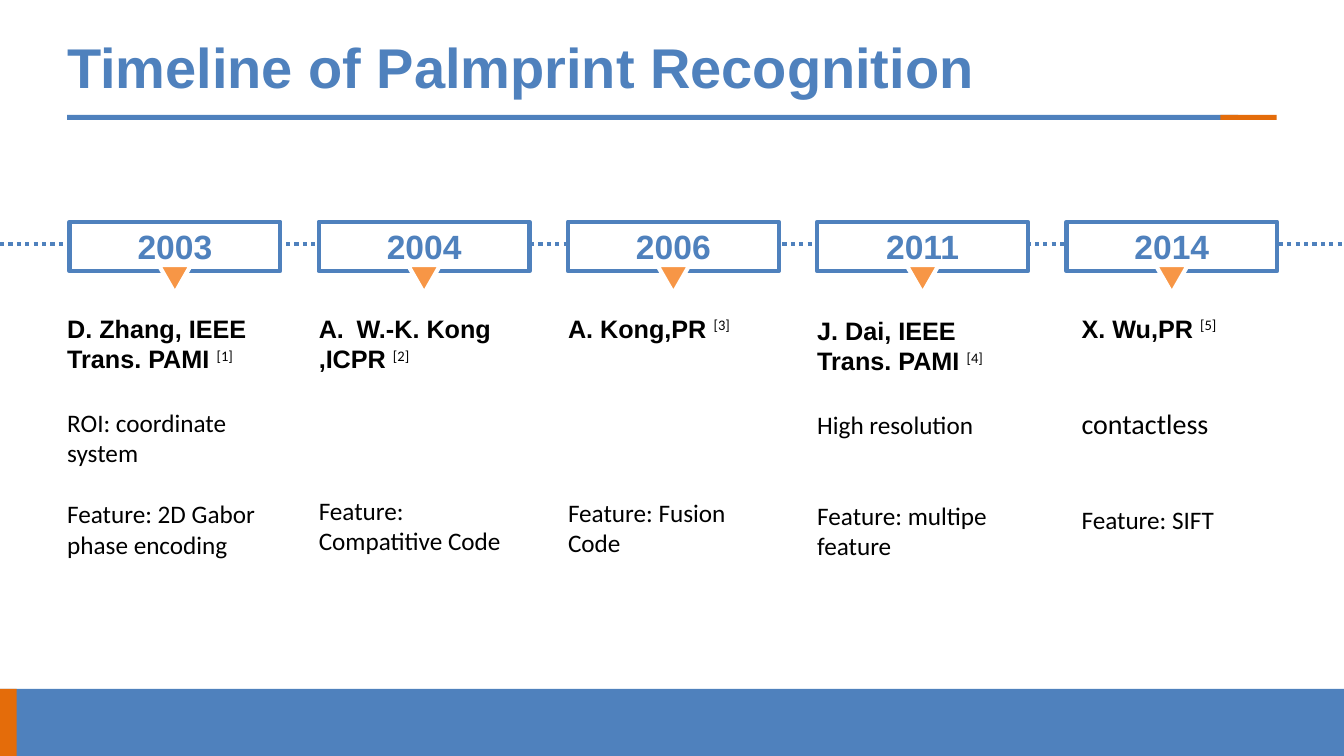
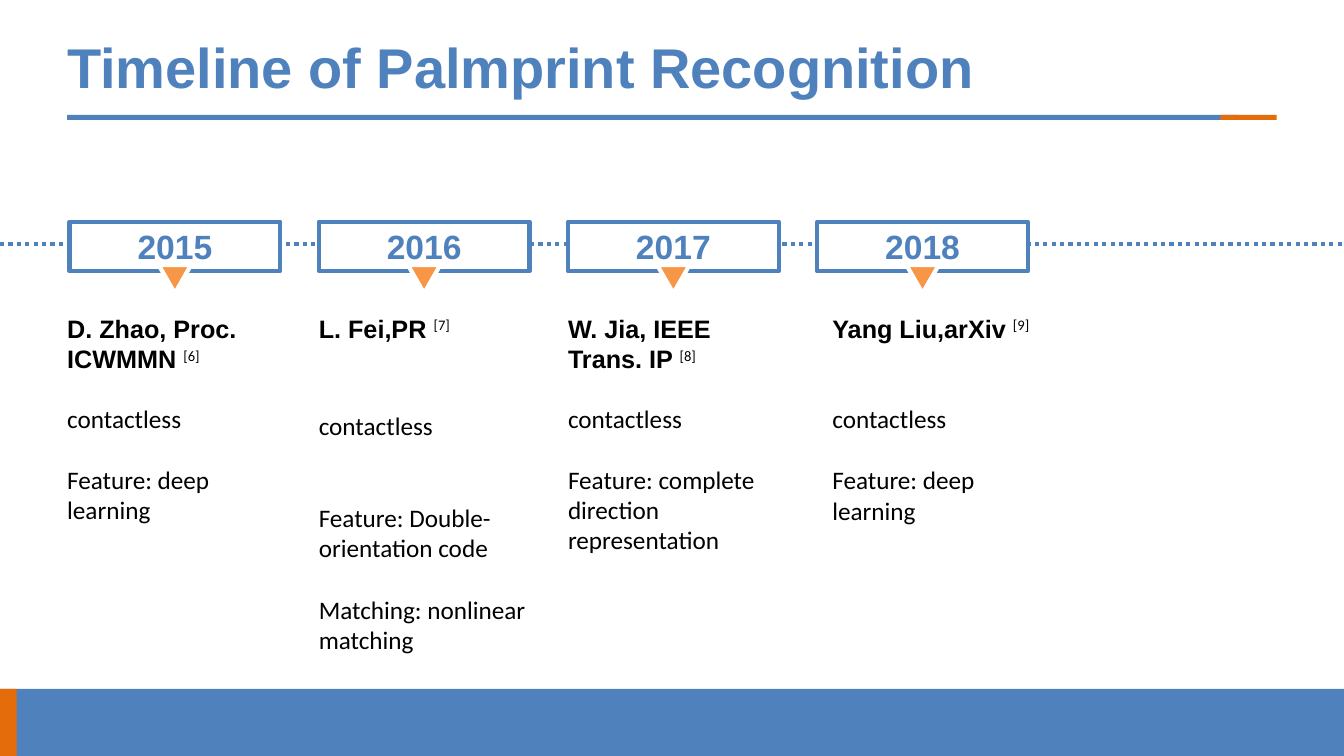
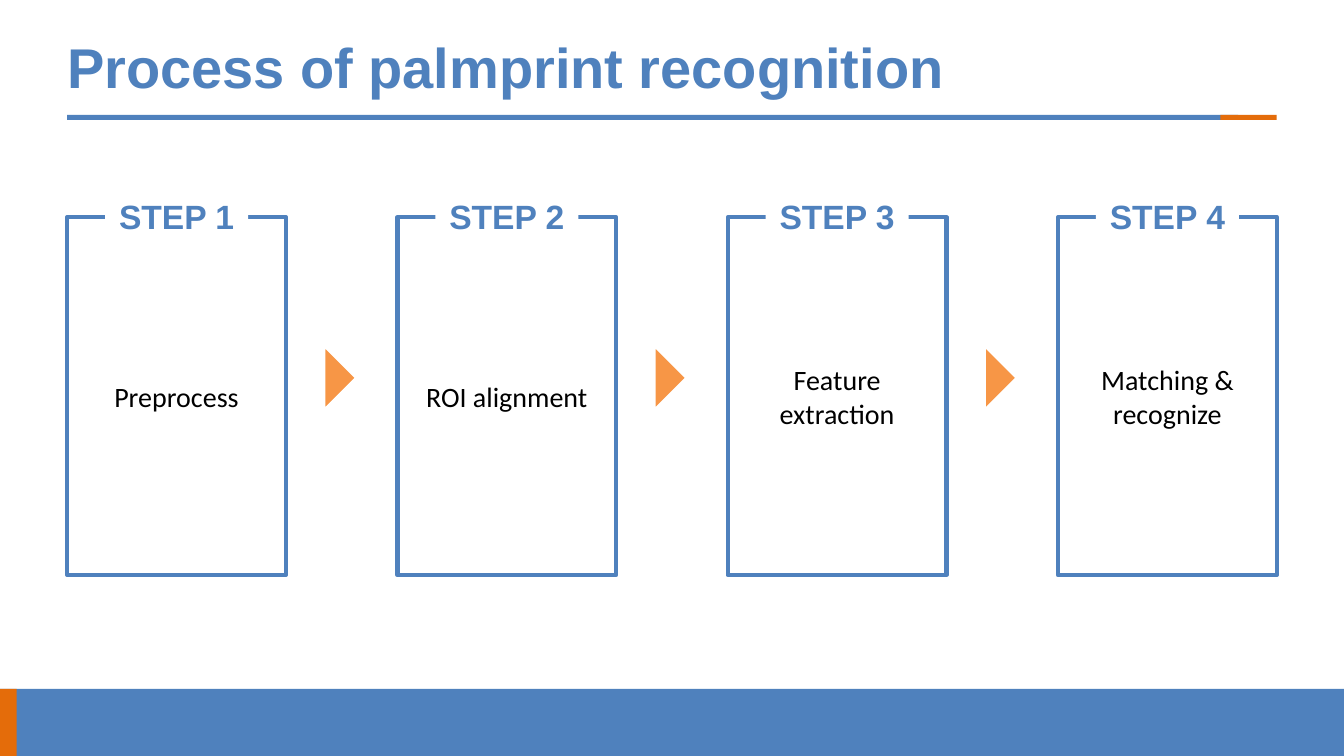
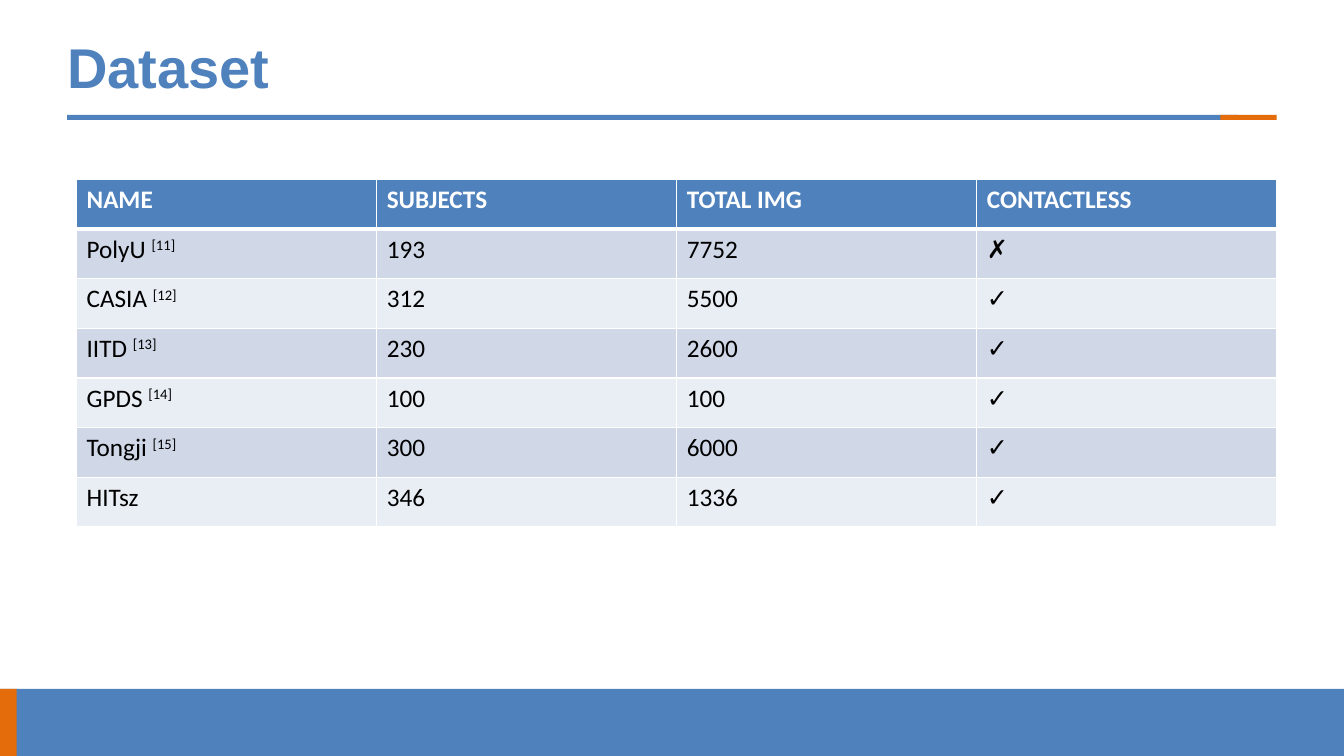
from dataclasses import dataclass

from lxml.etree import SubElement
from pptx import Presentation
from pptx.dml.color import RGBColor
from pptx.enum.dml import MSO_LINE
from pptx.enum.shapes import MSO_CONNECTOR, MSO_SHAPE
from pptx.enum.text import MSO_ANCHOR, PP_ALIGN
from pptx.oxml.ns import qn
from pptx.util import Emu, Inches, Pt

COLS, ROWS = 160, 90
UNIT = Inches(1) // 12


@dataclass(frozen=True)
class Style:
    """Look of one text run."""
    font: str
    size: int
    color: str
    bold: bool = False
    lift: int = 0


class Theme:
    """Colours and type shared by all slides."""
    blue, dark, orange = "4F81BD", "E46C0A", "F79646"
    white, black = "FFFFFF", "000000"
    bands = ("D0D8E8", "E9EDF4")
    stroke, thin = 3, 1
    title = Style("Arial", 40, blue, True)
    label = Style("Arial", 24, blue, True)
    author = Style("Arial", 18, black, True)
    note = Style("Calibri", 18, black)
    large = Style("Calibri", 20, black)
    cite = Style("Calibri", 18, black, lift=30)
    head = Style("Calibri", 18, white, True)


@dataclass(frozen=True)
class Box:
    """Area measured in grid columns and rows."""
    x: float
    y: float
    w: float
    h: float

    def inner(self, x, y, w, h):
        """Return a box placed from this box's corner."""
        return Box(self.x + x, self.y + y, w, h)

    def emu(self):
        """Return left, top, width and height as lengths."""
        return [Emu(round(n * UNIT)) for n in (self.x, self.y, self.w, self.h)]


@dataclass(frozen=True)
class Event:
    """One year on the timeline; notes hold gap, text and style."""
    year: str
    author: str
    cite: str
    notes: tuple
    dx: float = 0
    dy: float = 0
    first: str = ""


PAGE = Box(0, 0, COLS, ROWS)
TITLE = "Timeline of Palmprint Recognition"

EARLY = (
    Event("2003", "D. Zhang, IEEE Trans. PAMI ", "[1]", (
        (24, "ROI: coordinate system", Theme.note),
        (22, "Feature: 2D Gabor phase encoding", Theme.note)), dx=-0.28),
    Event("2004", ",ICPR ", "[2]", (
        (87, "Feature: Compatitive Code", Theme.note),), first="W.-K. Kong"),
    Event("2006", "A. Kong,PR ", "[3]", (
        (110, "Feature: Fusion Code", Theme.note),)),
    Event("2011", "J. Dai, IEEE Trans. PAMI ", "[4]", (
        (24, "High resolution", Theme.note),
        (43, "Feature: multipe feature", Theme.note)), dy=0.24),
    Event("2014", "X. Wu,PR ", "[5]", (
        (45, "contactless", Theme.large),
        (46, "Feature: SIFT", Theme.note)), dx=1.8),
)
LATE = (
    Event("2015", "D. Zhao, Proc. ICWMMN ", "[6]", (
        (21, "contactless", Theme.note),
        (22, "Feature: deep learning", Theme.note)), dx=-0.28),
    Event("2016", "L. Fei,PR ", "[7]", (
        (48, "contactless", Theme.note),
        (44, "Feature: Double-orientation code", Theme.note),
        (22, "Matching: nonlinear matching", Theme.note))),
    Event("2017", "W. Jia, IEEE Trans. IP ", "[8]", (
        (21, "contactless", Theme.note),
        (22, "Feature: complete direction representation", Theme.note))),
    Event("2018", "Yang Liu,arXiv ", "[9]", (
        (43, "contactless", Theme.note),
        (22, "Feature: deep learning", Theme.note)), dx=1.8),
)
STEPS = ("Preprocess", "ROI alignment", "Feature extraction",
         "Matching & recognize")
HEADS = ("NAME", "SUBJECTS", "TOTAL IMG", "CONTACTLESS")
DATA = (
    ("PolyU ", "[11]", "193", "7752", "✗"),
    ("CASIA ", "[12]", "312", "5500", "✓"),
    ("IITD ", "[13]", "230", "2600", "✓"),
    ("GPDS ", "[14]", "100", "100", "✓"),
    ("Tongji ", "[15]", "300", "6000", "✓"),
    ("HITsz", "", "346", "1336", "✓"),
)


def write(frame, *runs, align=PP_ALIGN.LEFT, gap=0):
    """Add one paragraph made of (text, style) runs."""
    para = frame.paragraphs[0]
    if para.runs:
        para = frame.add_paragraph()
    para.alignment = align
    para.space_before = Pt(gap)
    for text, style in runs:
        run = para.add_run()
        run.text = text
        font = run.font
        font.name, font.size, font.bold = style.font, Pt(style.size), style.bold
        font.color.rgb = RGBColor.from_string(style.color)
        if style.lift:
            run._r.get_or_add_rPr().set("baseline", str(style.lift * 1000))
    return para


def trim(frame):
    """Wrap the text and remove its margins."""
    frame.word_wrap = True
    frame.margin_left = frame.margin_right = 0
    frame.margin_top = frame.margin_bottom = 0
    return frame


def words(slide, box):
    """Add a text box and return its frame."""
    return trim(slide.shapes.add_textbox(*box.emu()).text_frame)


def block(slide, box, fill, line=None, kind=MSO_SHAPE.RECTANGLE, turn=0):
    """Add a filled shape with an optional outline."""
    shape = slide.shapes.add_shape(kind, *box.emu())
    shape.shadow.inherit = False
    shape.rotation = turn
    shape.fill.solid()
    shape.fill.fore_color.rgb = RGBColor.from_string(fill)
    if line:
        shape.line.color.rgb = RGBColor.from_string(line)
        shape.line.width = Pt(Theme.stroke)
    else:
        shape.line.fill.background()
    frame = shape.text_frame
    frame.word_wrap = True
    frame.vertical_anchor = MSO_ANCHOR.MIDDLE
    return shape


def start(deck, title):
    """Add a slide with its title, rule and footer band."""
    slide = deck.slides.add_slide(deck.slide_layouts[6])
    for box, fill in ((PAGE.inner(8, 13.68, 139.4, 0.6), Theme.blue),
                      (PAGE.inner(145.3, 13.68, 6.7, 0.6), Theme.dark),
                      (PAGE.inner(0, 82, COLS, 8), Theme.blue),
                      (PAGE.inner(0, 82, 2, 8), Theme.dark)):
        block(slide, box, fill)
    frame = words(slide, PAGE.inner(8, 3, 144, 10.68))
    frame.vertical_anchor = MSO_ANCHOR.MIDDLE
    write(frame, (title, Theme.title)).line_spacing = 0.9
    return slide


def dots(slide, box):
    """Draw a dotted line along the top of the box."""
    x, y, w, _ = box.emu()
    line = slide.shapes.add_connector(MSO_CONNECTOR.STRAIGHT, x, y, x + w, y)
    line.line.color.rgb = RGBColor.from_string(Theme.blue)
    line.line.width = Pt(Theme.stroke)
    line.line.dash_style = MSO_LINE.ROUND_DOT
    SubElement(line._element.spPr, qn("a:effectLst"))


def count(para):
    """Number a paragraph with capital letters."""
    props = para._p.get_or_add_pPr()
    props.set("marL", "342900")
    props.set("indent", "-342900")
    SubElement(props, qn("a:buFont"), typeface="+mj-lt")
    SubElement(props, qn("a:buAutoNum"), type="alphaUcPeriod")


def year(slide, box, event):
    """Place a year flag with its pointer and notes."""
    flag = block(slide, box.inner(0, 0, box.w, 5.88), Theme.white, Theme.blue)
    write(flag.text_frame, (event.year, Theme.label), align=PP_ALIGN.CENTER)
    block(slide, box.inner((box.w - 3.84) / 2, 5.16, 3.84, 3.36), Theme.orange,
          Theme.white, MSO_SHAPE.ISOSCELES_TRIANGLE, 180)
    frame = words(slide, box.inner(event.dx, 10.9 + event.dy, 25.3, box.h - 10.9))
    if event.first:
        count(write(frame, (event.first, Theme.author)))
    write(frame, (event.author, Theme.author), (event.cite, Theme.cite))
    for gap, text, style in event.notes:
        write(frame, (text, style), gap=gap)


def years(slide, box, events):
    """Set events at equal steps on a dotted line."""
    dots(slide, PAGE.inner(0, 29.04, COLS, 0))
    for n, event in enumerate(events):
        year(slide, box.inner(n * 29.67, 0, 25.08, box.h), event)


def step(slide, box, name, text):
    """Place a card with a label set into its top edge."""
    card = block(slide, box, Theme.white, Theme.blue)
    write(card.text_frame, (text, Theme.large), align=PP_ALIGN.CENTER)
    tab = block(slide, box.inner((box.w - 17.04) / 2, -2.5, 17.04, 4.8), Theme.white)
    frame = trim(tab.text_frame)
    frame.vertical_anchor = MSO_ANCHOR.TOP
    write(frame, (name, Theme.label), align=PP_ALIGN.CENTER)


def steps(slide, box, items):
    """Set step cards in a row with arrows between."""
    wide = 26.04
    pitch = (box.w - wide) / (len(items) - 1)
    for n, text in enumerate(items):
        step(slide, box.inner(n * pitch, 0, wide, box.h), f"STEP {n + 1}", text)
    for n in range(len(items) - 1):
        block(slide, box.inner(n * pitch + 27.6, 16.26, 5.76, 5.76), Theme.orange,
              Theme.white, MSO_SHAPE.RIGHT_TRIANGLE, 225)


def edge(cell, row):
    """Give a cell white borders, thick below the header."""
    props = cell._tc.get_or_add_tcPr()
    for side in "LRTB":
        thick = (row, side) in ((0, "B"), (1, "T"))
        size = Theme.stroke if thick else Theme.thin
        line = SubElement(props, qn(f"a:ln{side}"), w=str(Pt(size)))
        fill = SubElement(line, qn("a:solidFill"))
        SubElement(fill, qn("a:srgbClr"), val=Theme.white)


def grid(slide, box, heads, data):
    """Draw the table of datasets."""
    rows = [[[(text, Theme.head)] for text in heads]]
    for name, cite, *rest in data:
        lead = [(name, Theme.note)] + ([(cite, Theme.cite)] if cite else [])
        rows.append([lead] + [[(text, Theme.note)] for text in rest])
    table = slide.shapes.add_table(len(rows), len(heads), *box.emu()).table
    for r, row in enumerate(rows):
        fill = Theme.bands[(r - 1) % 2] if r else Theme.blue
        for c, runs in enumerate(row):
            cell = table.cell(r, c)
            edge(cell, r)
            cell.fill.solid()
            cell.fill.fore_color.rgb = RGBColor.from_string(fill)
            write(cell.text_frame, *runs)


def main():
    """Build and save the deck."""
    deck = Presentation()
    deck.slide_width, deck.slide_height = Emu(COLS * UNIT), Emu(ROWS * UNIT)
    for events in (EARLY, LATE):
        years(start(deck, TITLE), PAGE.inner(8.28, 26.4, 144, 40), events)
    steps(start(deck, "Process of palmprint recognition"),
          PAGE.inner(8, 25.86, 144, 42.6), STEPS)
    grid(start(deck, "Dataset"), PAGE.inner(9.12, 21.36, 142.92, 41.4), HEADS, DATA)
    deck.save("out.pptx")


if __name__ == "__main__":
    main()
